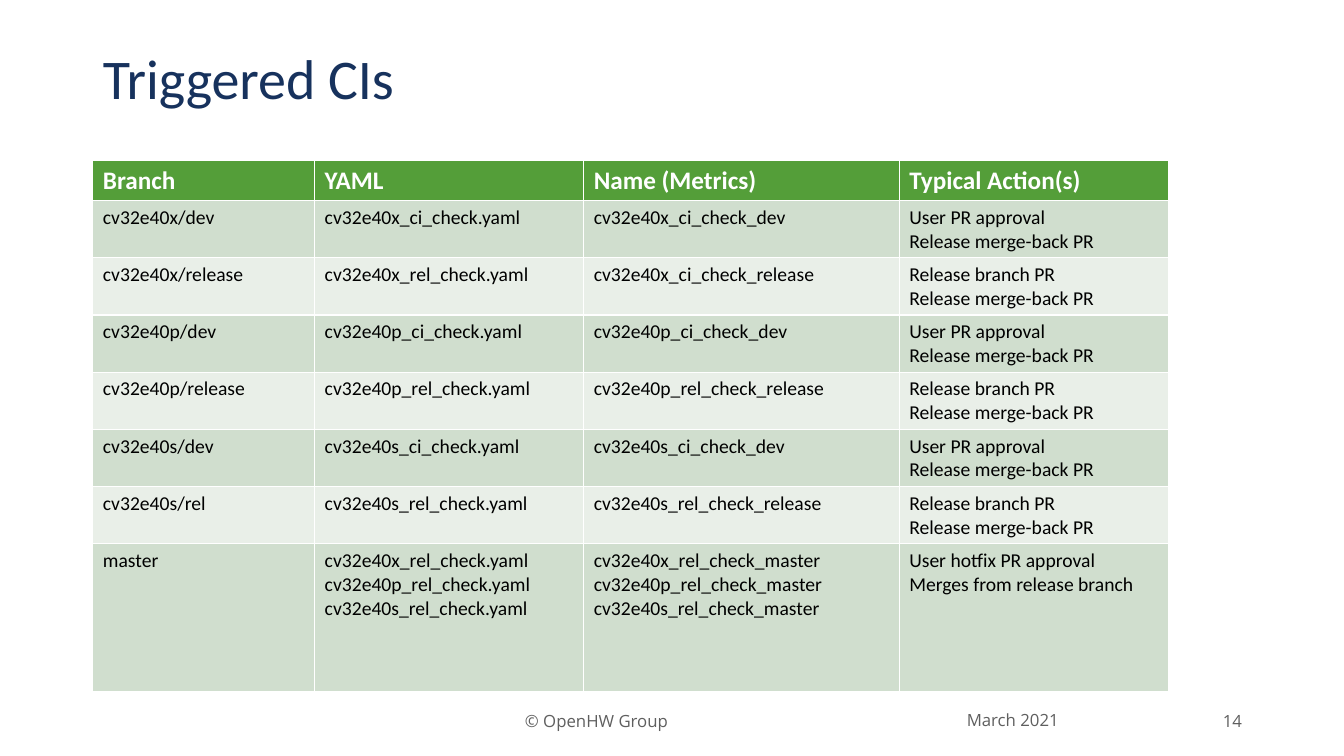
from pptx import Presentation
from pptx.dml.color import RGBColor
from pptx.enum.text import MSO_ANCHOR, MSO_AUTO_SIZE, PP_ALIGN
from pptx.util import Cm, Pt

LEFT, CENTER, RIGHT = PP_ALIGN.LEFT, PP_ALIGN.CENTER, PP_ALIGN.RIGHT
MIDDLE = MSO_ANCHOR.MIDDLE
NO_AUTOFIT = MSO_AUTO_SIZE.NONE
TITLE_ONLY = 5

NAVY = RGBColor(0x17, 0x32, 0x5D)
GREY = RGBColor(0x5F, 0x5F, 0x5F)
WHITE = RGBColor(0xFF, 0xFF, 0xFF)
BLACK = RGBColor(0x00, 0x00, 0x00)
GREEN = RGBColor(0x54, 0x9E, 0x39)
BANDS = (RGBColor(0xD0, 0xDE, 0xCE), RGBColor(0xE9, 0xEF, 0xE8))

COLUMN_WIDTHS = (5.59, 6.78, 7.95, 6.78)
HEADER_HEIGHT, BRANCH_HEIGHT, MASTER_HEIGHT = 0.99, 1.42, 3.73

HEADINGS = ("Branch", "YAML", "Name (Metrics)", "Typical Action(s)")
DEV_ACTIONS = "User PR approval\nRelease merge-back PR"
RELEASE_ACTIONS = "Release branch PR\nRelease merge-back PR"
CI_ROWS = (
    ("cv32e40x/dev", "cv32e40x_ci_check.yaml", "cv32e40x_ci_check_dev", DEV_ACTIONS),
    ("cv32e40x/release", "cv32e40x_rel_check.yaml", "cv32e40x_ci_check_release", RELEASE_ACTIONS),
    ("cv32e40p/dev", "cv32e40p_ci_check.yaml", "cv32e40p_ci_check_dev", DEV_ACTIONS),
    ("cv32e40p/release", "cv32e40p_rel_check.yaml", "cv32e40p_rel_check_release", RELEASE_ACTIONS),
    ("cv32e40s/dev", "cv32e40s_ci_check.yaml", "cv32e40s_ci_check_dev", DEV_ACTIONS),
    ("cv32e40s/rel", "cv32e40s_rel_check.yaml", "cv32e40s_rel_check_release", RELEASE_ACTIONS),
    (
        "master",
        "cv32e40x_rel_check.yaml\ncv32e40p_rel_check.yaml\ncv32e40s_rel_check.yaml",
        "cv32e40x_rel_check_master\ncv32e40p_rel_check_master\ncv32e40s_rel_check_master",
        "User hotfix PR approval\nMerges from release branch",
    ),
)


def write_text(frame, text, *, size, color, font="Calibri", bold=False,
               align=LEFT, line_spacing=None):
    """Fill a text frame, with one paragraph for each line of text."""
    frame.text = text
    for paragraph in frame.paragraphs:
        paragraph.alignment = align
        paragraph.line_spacing = line_spacing
        paragraph.font.name = font
        paragraph.font.size = Pt(size)
        paragraph.font.bold = bold
        paragraph.font.color.rgb = color


def set_title(slide, text):
    title = slide.shapes.title
    title.left, title.top = Cm(2.34), Cm(1.02)
    title.width, title.height = Cm(28.22), Cm(2.06)
    frame = title.text_frame
    frame.auto_size = NO_AUTOFIT
    frame.vertical_anchor = MIDDLE
    write_text(frame, text, size=40, color=NAVY, line_spacing=0.9)


def add_footer(slide, text, left, top, width, align=CENTER):
    box = slide.shapes.add_textbox(Cm(left), Cm(top), Cm(width), Cm(1.02))
    frame = box.text_frame
    frame.word_wrap = True
    frame.vertical_anchor = MIDDLE
    write_text(frame, text, size=12, color=GREY, font="Open Sans", align=align)


def fill_row(row, texts, fill, **text_format):
    for cell, text in zip(row.cells, texts):
        cell.fill.solid()
        cell.fill.fore_color.rgb = fill
        write_text(cell.text_frame, text, **text_format)


def add_ci_table(slide):
    heights = [HEADER_HEIGHT] + [BRANCH_HEIGHT] * (len(CI_ROWS) - 1) + [MASTER_HEIGHT]
    table = slide.shapes.add_table(
        len(heights), len(COLUMN_WIDTHS), Cm(2.34), Cm(4.04),
        Cm(sum(COLUMN_WIDTHS)), Cm(sum(heights))).table
    for column, width in zip(table.columns, COLUMN_WIDTHS):
        column.width = Cm(width)
    for row, height in zip(table.rows, heights):
        row.height = Cm(height)

    fill_row(table.rows[0], HEADINGS, GREEN, size=18, color=WHITE, bold=True)
    for index, texts in enumerate(CI_ROWS):
        fill_row(table.rows[index + 1], texts, BANDS[index % 2], size=14, color=BLACK)


def main():
    deck = Presentation()
    deck.slide_width, deck.slide_height = Cm(33.87), Cm(19.05)
    slide = deck.slides.add_slide(deck.slide_layouts[TITLE_ONLY])
    set_title(slide, "Triggered CIs")
    add_footer(slide, "March 2021", 22.63, 17.63, 5.79)
    add_footer(slide, "© OpenHW Group", 9.32, 17.65, 11.43)
    add_footer(slide, "14", 30.2, 17.65, 1.35, align=RIGHT)
    add_ci_table(slide)
    deck.save("out.pptx")


if __name__ == "__main__":
    main()
